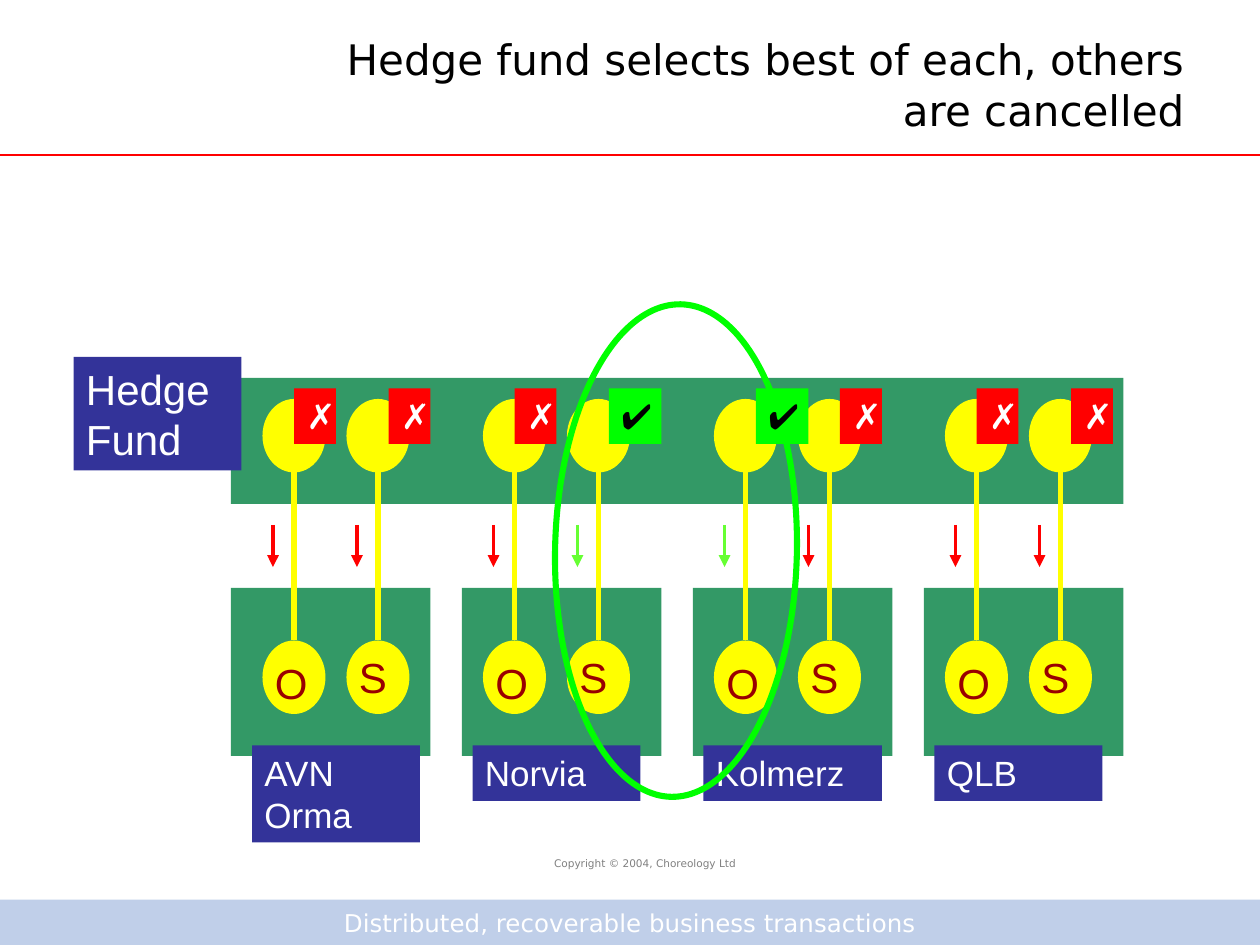
import pptx
import pptx.dml.color
import pptx.enum.shapes
import pptx.enum.text
import pptx.oxml
import pptx.oxml.ns
import pptx.util

Pt = pptx.util.Pt
RGBColor = pptx.dml.color.RGBColor
SHAPE = pptx.enum.shapes.MSO_SHAPE
ALIGN = pptx.enum.text.PP_ALIGN
ANCHOR = pptx.enum.text.MSO_ANCHOR

COLORS = {
    "black": "000000", "white": "FFFFFF", "grey": "808080",
    "footer": "C0CFE9", "green": "339966", "navy": "333399",
    "yellow": "FFFF00", "letter": "990000", "red": "FF0000",
    "lime": "00FF00", "selected arrow": "66FF33",
}

# Bank name, label left and width, left of the O node, kind of deal selected
BANKS = [
    ("AVN Orma", 144, 96, 150, None),
    ("Norvia", 270, 96, 276, "S"),
    ("Kolmerz", 402, 102, 408, "O"),
    ("QLB", 534, 96, 540, None),
]
NODE_GAP = 48
NODE_WIDTH, NODE_HEIGHT = 36, 42
BANK_LEFT, BANK_STEP = 132, 132


def add_block(shapes, kind, left, top, width, height, fill=None):
    shape = shapes.add_shape(kind, Pt(left), Pt(top), Pt(width), Pt(height))
    shape.shadow.inherit = False
    shape.line.fill.background()
    if fill:
        shape.fill.solid()
        shape.fill.fore_color.rgb = RGBColor.from_string(COLORS[fill])
    else:
        shape.fill.background()
    return shape


def write_text(shape, text, *, size, color, font="Arial", align=ALIGN.LEFT,
               anchor=ANCHOR.TOP, wrap=True):
    frame = shape.text_frame
    frame.word_wrap = wrap
    frame.auto_size = pptx.enum.text.MSO_AUTO_SIZE.NONE
    frame.vertical_anchor = anchor
    paragraph = frame.paragraphs[0]
    paragraph.text = text
    paragraph.alignment = align
    paragraph.font.name = font
    paragraph.font.size = Pt(size)
    paragraph.font.color.rgb = RGBColor.from_string(COLORS[color])


presentation = pptx.Presentation()
presentation.slide_width = Pt(720)
presentation.slide_height = Pt(540)
slide = presentation.slides.add_slide(presentation.slide_layouts[5])
shapes = slide.shapes

# Title and footer
title = shapes.title
title.left, title.top, title.width, title.height = Pt(161.3), Pt(26), Pt(522.7), Pt(44)
write_text(title, "Hedge fund selects best of each, others are cancelled", size=24,
           color="black", font="DejaVu Sans", align=ALIGN.RIGHT, anchor=ANCHOR.MIDDLE)

footer = add_block(shapes, SHAPE.RECTANGLE, 0, 514, 720, 26, "footer")
write_text(footer, "Distributed, recoverable business transactions", size=14, color="white",
           font="DejaVu Sans", align=ALIGN.CENTER, anchor=ANCHOR.MIDDLE, wrap=False)
copyright_line = shapes.add_textbox(Pt(178.5), Pt(486), Pt(380), Pt(14.4))
write_text(copyright_line, "Copyright © 2004, Choreology Ltd", size=6, color="grey",
           font="DejaVu Sans", align=ALIGN.CENTER, anchor=ANCHOR.MIDDLE)

# Hedge fund bar and banks
for index in range(len(BANKS)):
    add_block(shapes, SHAPE.RECTANGLE, BANK_LEFT + index * BANK_STEP, 336, 114, 96, "green")
add_block(shapes, SHAPE.RECTANGLE, BANK_LEFT, 216, 510, 72, "green")
fund = add_block(shapes, SHAPE.RECTANGLE, 42, 204, 96, 64.8, "navy")
write_text(fund, "Hedge Fund", size=24, color="white")

deals = []
for name, label_left, label_width, first_node, selected in BANKS:
    label_height = 55.4 if " " in name else 31.7
    label = add_block(shapes, SHAPE.RECTANGLE, label_left, 426, label_width, label_height, "navy")
    write_text(label, name, size=20, color="white")
    deals.append(("O", first_node, selected == "O"))
    deals.append(("S", first_node + NODE_GAP, selected == "S"))

# Title rule, stems between nodes, and message arrows
lines = [(0, 88.5, 720, 88.5, "red", 1.5, False)]
for letter, left, chosen in deals:
    stem, arrow = left + NODE_WIDTH / 2, left + 6
    lines.append((stem, 234, stem, 366, "yellow", 3, False))
    lines.append((arrow, 300, arrow, 324, "selected arrow" if chosen else "red", 2.25, True))
for x1, y1, x2, y2, color, width, arrowhead in lines:
    connector = shapes.add_connector(pptx.enum.shapes.MSO_CONNECTOR.STRAIGHT,
                                     Pt(x1), Pt(y1), Pt(x2), Pt(y2))
    connector.line.color.rgb = RGBColor.from_string(COLORS[color])
    connector.line.width = Pt(width)
    if arrowhead:
        tail = pptx.oxml.parse_xml(
            f'<a:tailEnd {pptx.oxml.ns.nsdecls("a")} type="triangle"/>')
        connector.line._get_or_add_ln().append(tail)
    connector._element.spPr.append(
        pptx.oxml.parse_xml(f'<a:effectLst {pptx.oxml.ns.nsdecls("a")}/>'))

# Deal nodes at both ends
for letter, left, chosen in deals:
    for top in (228, 366):
        add_block(shapes, SHAPE.OVAL, left, top, NODE_WIDTH, NODE_HEIGHT, "yellow")
    letter_top = 372 if letter == "O" else 369
    letter_box = shapes.add_textbox(Pt(left), Pt(letter_top), Pt(24), Pt(36))
    write_text(letter_box, letter, size=24, color="letter")

# Ring around the selected deals
ring = add_block(shapes, SHAPE.OVAL, 245.5, 245.5, 281.5, 138.2)
ring.rotation = 91.1
ring.line.color.rgb = RGBColor.from_string(COLORS["lime"])
ring.line.width = Pt(3.5)

# Outcome marks
for letter, left, chosen in deals:
    offset = 24 if chosen or letter == "S" else 18
    symbol, fill, color, width = (
        ("✔", "lime", "black", 30) if chosen else ("✗", "red", "white", 24))
    mark = add_block(shapes, SHAPE.RECTANGLE, left + offset, 222, width, 31.7, fill)
    write_text(mark, symbol, size=20, color=color)

presentation.save("out.pptx")
